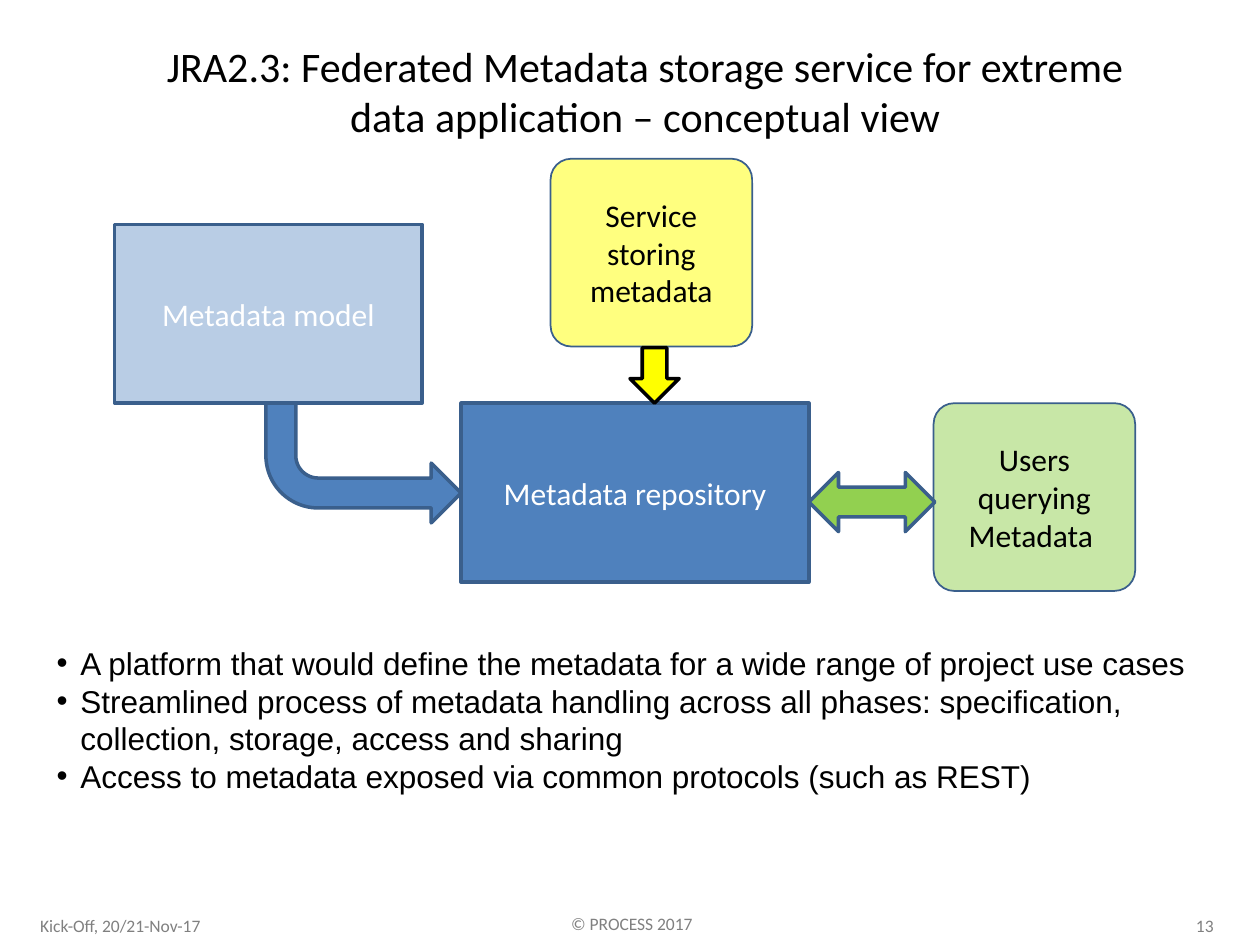
from lxml import etree
from pptx import Presentation
from pptx.dml.color import RGBColor
from pptx.enum.shapes import MSO_SHAPE
from pptx.enum.text import MSO_ANCHOR, PP_ALIGN
from pptx.oxml.ns import qn
from pptx.util import Inches, Pt

BLACK = RGBColor(0x00, 0x00, 0x00)
WHITE = RGBColor(0xFF, 0xFF, 0xFF)
GRAY = RGBColor(0x80, 0x80, 0x80)
BLUE = RGBColor(0x4F, 0x81, 0xBD)
PALE_BLUE = RGBColor(0xB9, 0xCD, 0xE5)
DARK_BLUE = RGBColor(0x3A, 0x5F, 0x8C)
YELLOW = RGBColor(0xFF, 0xFF, 0x00)
GREEN = RGBColor(0x92, 0xD0, 0x50)

TITLE = ("JRA2.3: Federated Metadata storage service for extreme "
         "data application – conceptual view")
BULLETS = [
    "A platform that would define the metadata for a wide range of project use cases",
    "Streamlined process of metadata handling across all phases: specification, "
    "collection, storage, access and sharing",
    "Access to metadata exposed via common protocols (such as REST)",
]


def format_text(text_frame, size, color, alignment, font="Calibri", anchor=MSO_ANCHOR.MIDDLE):
    text_frame.word_wrap = True
    text_frame.vertical_anchor = anchor
    for paragraph in text_frame.paragraphs:
        paragraph.alignment = alignment
        for run in paragraph.runs:
            run.font.name = font
            run.font.size = Pt(size)
            run.font.color.rgb = color


def add_title(slide):
    title = slide.shapes.title
    title.left, title.top = Inches(1.22), Inches(0.13)
    title.width, title.height = Inches(7.8), Inches(1.18)
    title.text_frame.text = TITLE
    format_text(title.text_frame, 24, BLACK, PP_ALIGN.CENTER)


def add_text(slide, box, content, size, color, alignment, **options):
    text_box = slide.shapes.add_textbox(*map(Inches, box))
    text_box.text_frame.text = content
    format_text(text_box.text_frame, size, color, alignment, **options)
    return text_box


def add_bullets(slide, box):
    text_box = add_text(slide, box, "\n".join(BULLETS), 18, BLACK, PP_ALIGN.LEFT,
                        font="Arial", anchor=MSO_ANCHOR.TOP)
    indent = Inches(0.19)
    for paragraph in text_box.text_frame.paragraphs:
        properties = paragraph._p.get_or_add_pPr()
        properties.set("marL", str(indent))
        properties.set("indent", str(-indent))
        etree.SubElement(properties, qn("a:buFont")).set("typeface", "Arial")
        etree.SubElement(properties, qn("a:buChar")).set("char", "•")


def add_block(slide, kind, box, fill, line=DARK_BLUE, line_width=2):
    shape = slide.shapes.add_shape(kind, *map(Inches, box))
    shape.shadow.inherit = False
    shape.fill.solid()
    shape.fill.fore_color.rgb = fill
    shape.line.color.rgb = line
    shape.line.width = Pt(line_width)
    return shape


def add_store(slide, box, fill, label):
    shape = add_block(slide, MSO_SHAPE.RECTANGLE, box, fill)
    shape.text_frame.text = label
    format_text(shape.text_frame, 18, WHITE, PP_ALIGN.CENTER)


def add_actor(slide, left, top, fill, label):
    shape = add_block(slide, MSO_SHAPE.ROUNDED_RECTANGLE, (left, top, 1.6, 1.49), fill,
                      line_width=1)
    shape.adjustments[0] = 0.11
    color = shape._element.spPr.find(qn("a:solidFill"))[0]
    etree.SubElement(color, qn("a:alpha")).set("val", "50000")
    shape.text_frame.text = label
    format_text(shape.text_frame, 18, BLACK, PP_ALIGN.CENTER)


def add_model_arrow(slide):
    arrow = add_block(slide, MSO_SHAPE.BENT_ARROW, (2.11, 3.2, 1.55, 0.95), BLUE)
    arrow.rotation = 180
    arrow._element.spPr.find(qn("a:xfrm")).set("flipH", "1")


def main():
    presentation = Presentation()
    presentation.slide_width, presentation.slide_height = Inches(10), Inches(7.5)
    slide = presentation.slides.add_slide(presentation.slide_layouts[5])

    add_text(slide, (8.39, 7.23, 1.34, 0.23), "13", 10, GRAY, PP_ALIGN.RIGHT)
    add_text(slide, (0.22, 7.23, 1.78, 0.23), "Kick-Off, 20/21-Nov-17", 10, GRAY, PP_ALIGN.LEFT)
    add_text(slide, (3.95, 7.2, 2.13, 0.27), "© PROCESS 2017", 10, GRAY, PP_ALIGN.CENTER,
             anchor=MSO_ANCHOR.TOP)
    add_title(slide)
    add_bullets(slide, (0.35, 5.06, 9.48, 1.31))

    add_store(slide, (0.91, 1.78, 2.44, 1.42), PALE_BLUE, "Metadata model")
    add_model_arrow(slide)
    add_store(slide, (3.66, 3.2, 2.76, 1.42), BLUE, "Metadata repository")
    add_actor(slide, 4.37, 1.26, YELLOW, "Service storing metadata")
    add_actor(slide, 7.41, 3.2, GREEN, "Users querying\nMetadata ")
    add_block(slide, MSO_SHAPE.DOWN_ARROW, (5, 2.76, 0.39, 0.44), YELLOW, line=BLACK)
    add_block(slide, MSO_SHAPE.LEFT_RIGHT_ARROW, (6.42, 3.75, 1, 0.47), GREEN)

    presentation.save("out.pptx")


if __name__ == "__main__":
    main()
